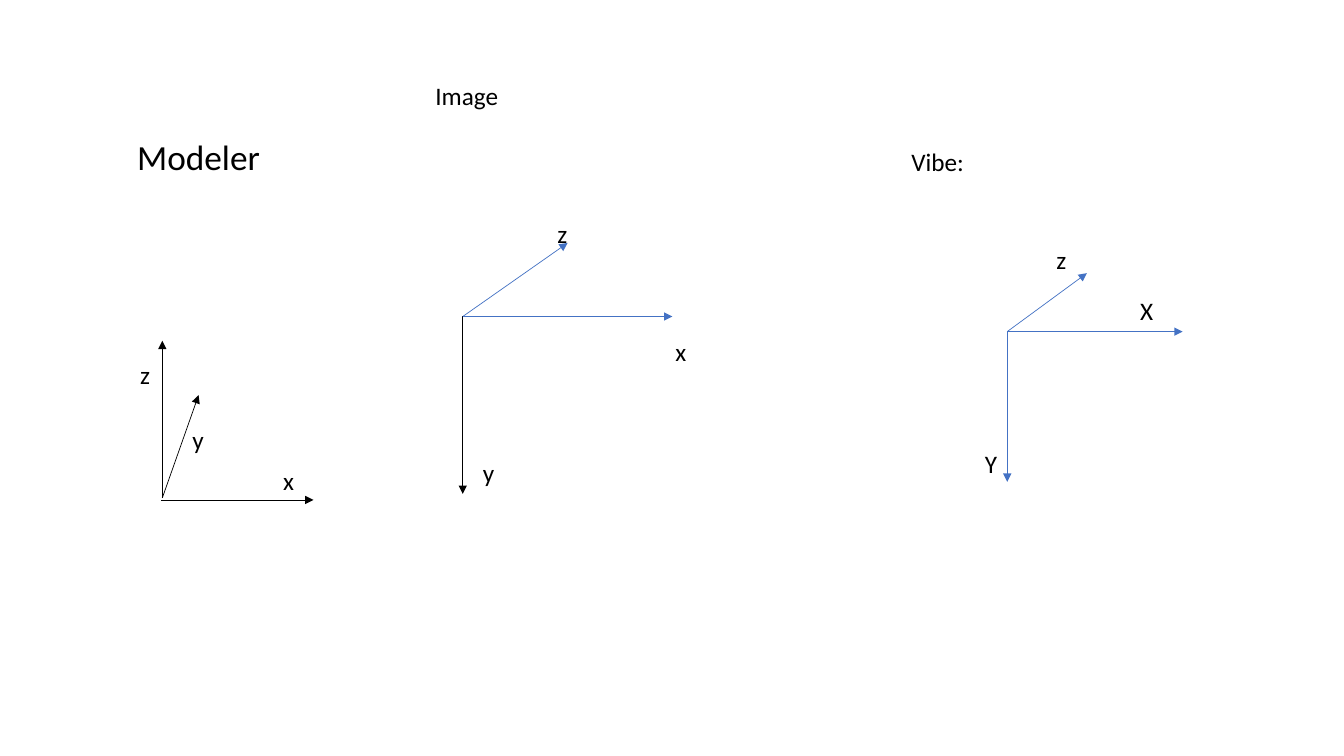
"""Build a slide comparing the axis conventions of three coordinate systems."""
import pptx
import pptx.dml.color
import pptx.enum.shapes
import pptx.enum.text
import pptx.oxml
import pptx.oxml.ns
import pptx.util

Inches = pptx.util.Inches
Pt = pptx.util.Pt

COLORS = {"black": "000000", "blue": "4472C4"}
FONT = "Calibri"
LABEL_HEIGHT = 0.4

HEADING = ("Modeler", (1, 1.3, 1.94, 0.52))

CAPTIONS = [
    ("Image", 4.22, 0.75, 0.83),
    ("Vibe:", 8.94, 1.4, 0.73),
]

# Each axis: start, end, color, and its label as (text, left, top, width).
AXES = [
    ((1.61, 4.94), (1.61, 3.38), "black", ("z", 1.29, 3.52, 0.31)),
    ((1.6, 4.96), (3.11, 4.96), "black", ("x", 2.71, 4.57, 0.31)),
    ((1.61, 4.94), (1.97, 3.92), "black", ("y", 1.81, 4.16, 0.32)),
    ((4.59, 3.14), (4.59, 4.9), "black", ("y", 4.69, 4.49, 0.32)),
    ((4.59, 3.14), (6.67, 3.14), "blue", ("x", 6.6, 3.29, 0.31)),
    ((4.59, 3.14), (5.63, 2.41), "blue", ("z", 5.43, 2.12, 0.3)),
    ((9.99, 3.29), (10.78, 2.71), "blue", ("z", 10.38, 2.37, 0.3)),
    ((9.99, 3.29), (9.99, 4.78), "blue", ("Y", 9.67, 4.4, 0.32)),
    ((9.99, 3.29), (11.73, 3.29), "blue", ("X", 11.21, 2.88, 0.33)),
]


def rgb(color):
    return pptx.dml.color.RGBColor.from_string(COLORS[color])


def set_font(paragraph, size):
    paragraph.font.name = FONT
    paragraph.font.size = Pt(size)
    paragraph.font.color.rgb = rgb("black")


def add_label(slide, text, left, top, width):
    label = slide.shapes.add_textbox(
        Inches(left), Inches(top), Inches(width), Inches(LABEL_HEIGHT))
    frame = label.text_frame
    frame.word_wrap = False
    frame.auto_size = pptx.enum.text.MSO_AUTO_SIZE.SHAPE_TO_FIT_TEXT
    frame.text = text
    set_font(frame.paragraphs[0], 18)


def add_axis(slide, start, end, color):
    axis = slide.shapes.add_connector(
        pptx.enum.shapes.MSO_CONNECTOR.STRAIGHT,
        *[Inches(value) for value in start + end])
    axis.line.color.rgb = rgb(color)
    axis.line.width = Pt(0.5)
    arrowhead = pptx.oxml.parse_xml(
        f'<a:tailEnd {pptx.oxml.ns.nsdecls("a")} type="triangle"/>')
    axis.line._get_or_add_ln().append(arrowhead)
    axis._element.spPr.append(pptx.oxml.parse_xml(
        f'<a:effectLst {pptx.oxml.ns.nsdecls("a")}/>'))


def add_heading(slide, text, box):
    heading = slide.shapes.title
    heading.left, heading.top, heading.width, heading.height = map(Inches, box)
    frame = heading.text_frame
    frame.text = text
    frame.vertical_anchor = pptx.enum.text.MSO_ANCHOR.BOTTOM
    frame.auto_size = pptx.enum.text.MSO_AUTO_SIZE.NONE
    paragraph = frame.paragraphs[0]
    paragraph.alignment = pptx.enum.text.PP_ALIGN.CENTER
    paragraph.line_spacing = 0.9
    set_font(paragraph, 25.2)


presentation = pptx.Presentation()
presentation.slide_width = Inches(13.33)
presentation.slide_height = Inches(7.5)
title_only = presentation.slide_layouts[5]
slide = presentation.slides.add_slide(title_only)

add_heading(slide, *HEADING)
for caption in CAPTIONS:
    add_label(slide, *caption)
for start, end, color, label in AXES:
    add_axis(slide, start, end, color)
    add_label(slide, *label)

presentation.save("out.pptx")
